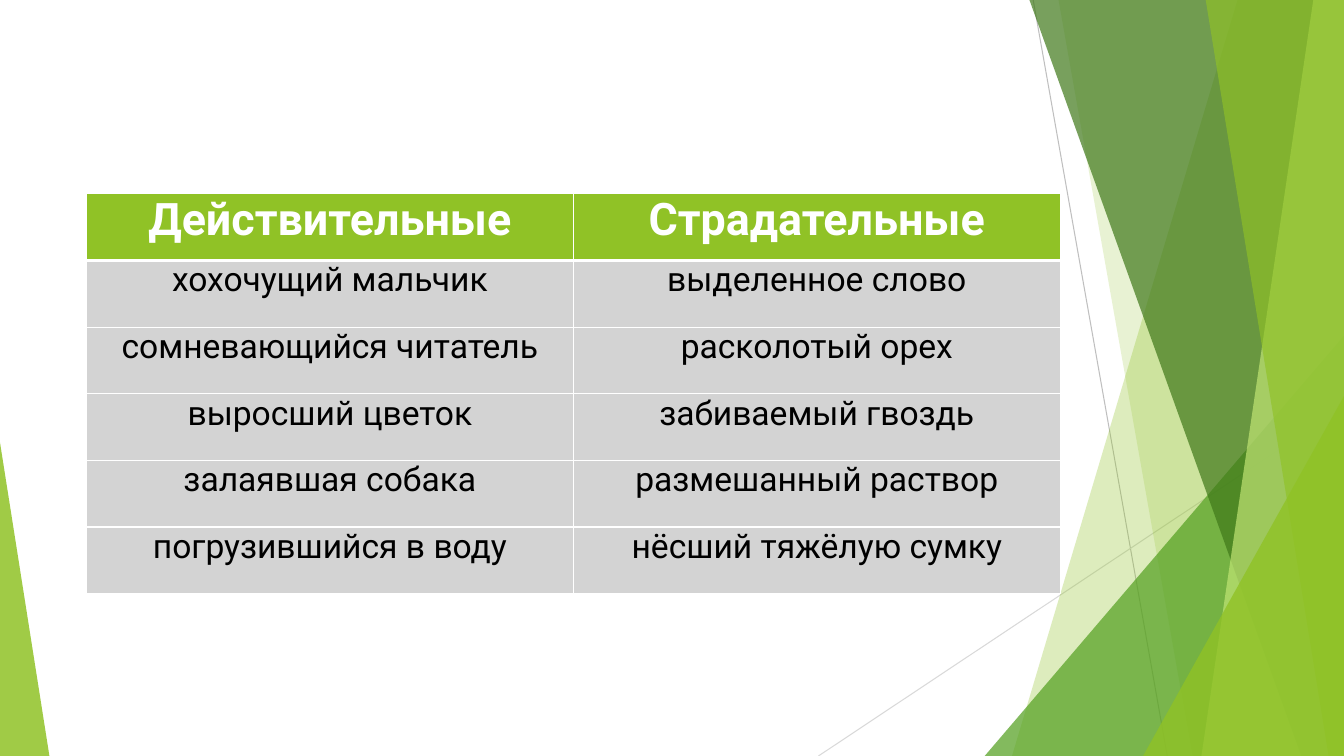
import pptx
import pptx.dml.color
import pptx.enum.shapes
import pptx.enum.text
import pptx.oxml
import pptx.oxml.ns
import pptx.util
from lxml import etree

Pt = pptx.util.Pt
RGBColor = pptx.dml.color.RGBColor
qn = pptx.oxml.ns.qn

LIME = RGBColor(0x90, 0xC2, 0x26)
GREEN = RGBColor(0x54, 0xA0, 0x21)
DARK_GREEN = RGBColor(0x3F, 0x78, 0x19)
PALE_LIME = RGBColor(0xC0, 0xE4, 0x74)
GRAY = RGBColor(0xD3, 0xD3, 0xD3)
MID_LINE = RGBColor(0xBF, 0xBF, 0xBF)
LIGHT_LINE = RGBColor(0xD9, 0xD9, 0xD9)
WHITE = RGBColor(0xFF, 0xFF, 0xFF)
BLACK = RGBColor(0, 0, 0)

# Content
PARTICIPLES = [
    ("Действительные", "Страдательные"),
    ("хохочущий мальчик", "выделенное слово"),
    ("сомневающийся читатель", "расколотый орех"),
    ("выросший цветок", "забиваемый гвоздь"),
    ("залаявшая собака", "размешанный раствор"),
    ("погрузившийся в воду", "нёсший тяжёлую сумку"),
]

# Decoration, in points: rays are (x1, y1, x2, y2, colour)
WIDTH, HEIGHT, BAND_TOP = 960, 540, -0.7
RAYS = [
    (738, 0, 833.8, HEIGHT, MID_LINE),
    (WIDTH, 290.2, 584.6, HEIGHT, LIGHT_LINE),
]
# Bands: (left edge at top, left edge at bottom, colour, opacity %)
# Corners: (left, top, width, apex 0 left or 1 right, colour, opacity %)
FACETS = [
    ("band", 884.2, 722.9, LIME, 30),
    ("band", 756, 851.8, LIME, 20),
    ("corner", 703.4, 239.8, 256.6, 1, GREEN, 72),
    ("band", 735.1, 929.5, DARK_GREEN, 70),
    ("band", 938.2, 858.2, PALE_LIME, 70),
    ("band", 861.1, 949, LIME, 65),
    ("corner", 816.5, 283, 143.5, 1, LIME, 80),
    ("corner", 0, 316.1, 35.3, 0, LIME, 85),
]

# Table grid, in points
TABLE_LEFT, TABLE_TOP = 61.8, 138.5
COLUMN_WIDTH, ROW_HEIGHT = 347.8, 47.6

presentation = pptx.Presentation()
presentation.slide_width, presentation.slide_height = Pt(WIDTH), Pt(HEIGHT)
slide = presentation.slides.add_slide(presentation.slide_layouts[6])


def paint(facet, color, opacity):
    facet.shadow.inherit = False
    facet.line.fill.background()
    facet.fill.solid()
    facet.fill.fore_color.rgb = color
    srgb = facet.fill._xPr.find(".//" + qn("a:srgbClr"))
    etree.SubElement(srgb, qn("a:alpha"), val=str(opacity * 1000))


def add_band(top_x, bottom_x, color, opacity):
    builder = slide.shapes.build_freeform(Pt(top_x), Pt(BAND_TOP))
    corners = [(WIDTH, BAND_TOP), (WIDTH, HEIGHT), (bottom_x, HEIGHT)]
    builder.add_line_segments([(Pt(x), Pt(y)) for x, y in corners], close=True)
    paint(builder.convert_to_shape(), color, opacity)


def add_corner(left, top, width, apex, color, opacity):
    corner = slide.shapes.add_shape(
        pptx.enum.shapes.MSO_SHAPE.ISOSCELES_TRIANGLE,
        Pt(left), Pt(top), Pt(width), Pt(HEIGHT - top))
    corner.adjustments[0] = apex
    paint(corner, color, opacity)


def write_text(cell, text, *, size, color, bold):
    paragraph = cell.text_frame.paragraphs[0]
    paragraph.alignment = pptx.enum.text.PP_ALIGN.CENTER
    paragraph.space_after = Pt(7.5)
    run = paragraph.add_run()
    run.text = text
    run.font.name = "Roboto"
    run.font.size = Pt(size)
    run.font.bold = bold
    run.font.color.rgb = color


def add_borders(cell, widths):
    properties = cell._tc.get_or_add_tcPr()
    for index, (side, width) in enumerate(widths.items()):
        border = etree.Element(qn("a:" + side), w=str(Pt(width)))
        fill = etree.SubElement(border, qn("a:solidFill"))
        etree.SubElement(fill, qn("a:srgbClr"), val=str(WHITE))
        properties.insert(index, border)


# Thin rays behind the facets
for x1, y1, x2, y2, color in RAYS:
    ray = slide.shapes.add_connector(
        pptx.enum.shapes.MSO_CONNECTOR.STRAIGHT, Pt(x1), Pt(y1), Pt(x2), Pt(y2))
    ray.line.color.rgb = color
    ray.line.width = Pt(0.75)
    etree.SubElement(ray._element.spPr, qn("a:effectLst"))

# Translucent green facets
for kind, *geometry in FACETS:
    (add_band if kind == "band" else add_corner)(*geometry)

# Table of participles
row_count, column_count = len(PARTICIPLES), len(PARTICIPLES[0])
table = slide.shapes.add_table(
    row_count, column_count, Pt(TABLE_LEFT), Pt(TABLE_TOP),
    Pt(COLUMN_WIDTH * column_count), Pt(ROW_HEIGHT * row_count)).table
for column in table.columns:
    column.width = Pt(COLUMN_WIDTH)
for row_index, phrases in enumerate(PARTICIPLES):
    table.rows[row_index].height = Pt(ROW_HEIGHT)
    header = row_index == 0
    for column_index, phrase in enumerate(phrases):
        cell = table.cell(row_index, column_index)
        cell.margin_left = cell.margin_right = Pt(5)
        cell.margin_top = cell.margin_bottom = Pt(0)
        cell.fill.solid()
        cell.fill.fore_color.rgb = LIME if header else GRAY
        write_text(cell, phrase, size=32 if header else 24,
                   color=WHITE if header else BLACK, bold=header)
        add_borders(cell, {"lnL": 1, "lnR": 1,
                           "lnT": 3 if row_index == 1 else 1,
                           "lnB": 3 if header else 1})

presentation.save("out.pptx")
